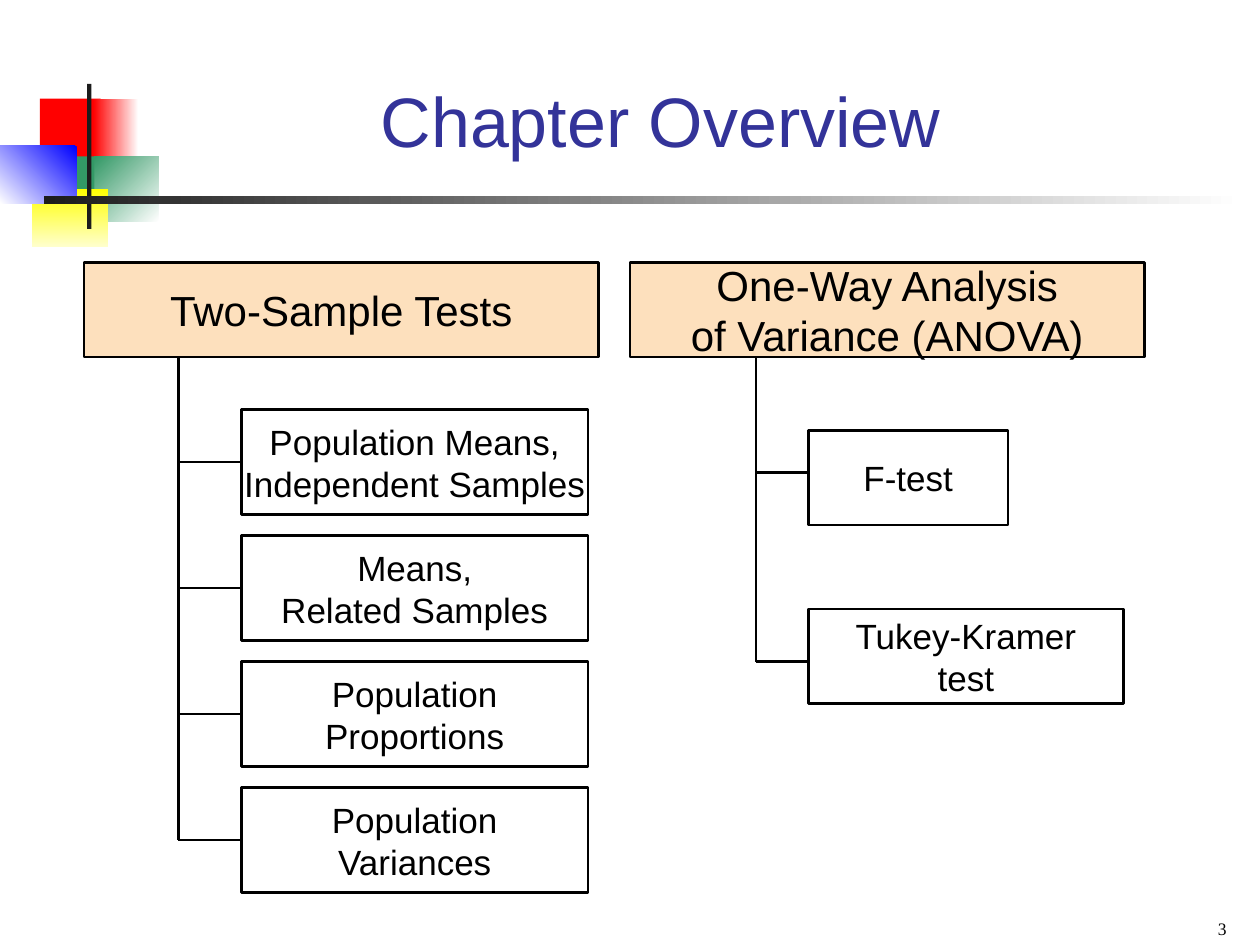
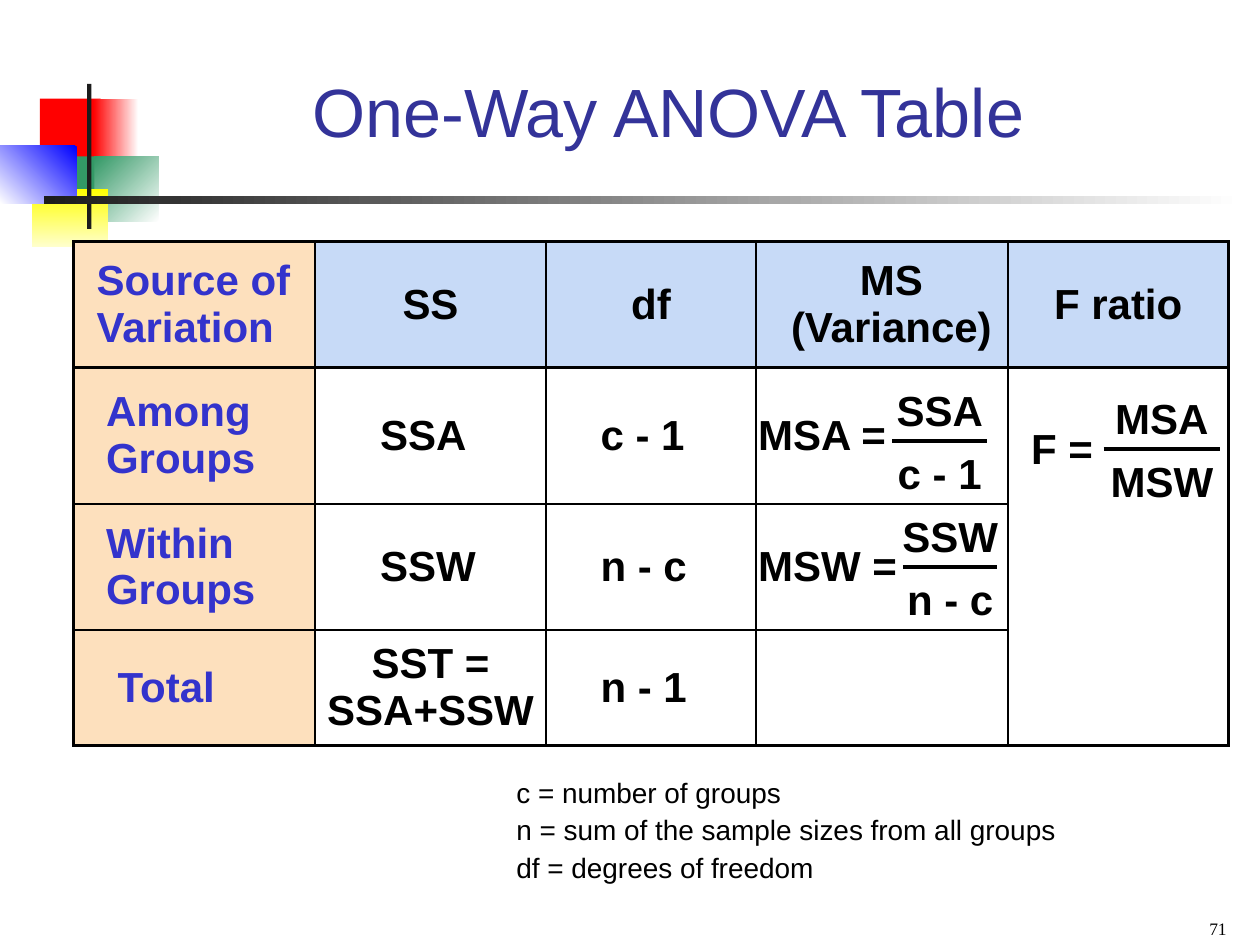
from dataclasses import dataclass

from lxml.etree import SubElement
from pptx import Presentation
from pptx.dml.color import RGBColor
from pptx.enum.shapes import MSO_CONNECTOR, MSO_SHAPE
from pptx.enum.text import MSO_ANCHOR, MSO_AUTO_SIZE, PP_ALIGN
from pptx.oxml import parse_xml
from pptx.oxml.ns import nsdecls, qn
from pptx.util import Emu, Pt

LEFT, MID, RIGHT = PP_ALIGN.LEFT, PP_ALIGN.CENTER, PP_ALIGN.RIGHT
WIDE, HIGH = 1200, 900


@dataclass(frozen=True)
class Theme:
    ink: str = "000000"
    title: str = "333399"
    label: str = "3333CC"
    peach: str = "FDE0BD"
    sky: str = "C7DAF7"
    white: str = "FFFFFF"
    dark: str = "1C1C1C"
    red: str = "FF0000"
    green: str = "339966"
    blue: str = "0000FF"
    yellow: str = "FFFF00"
    cream: str = "FFFFCC"
    sans: str = "Arial"
    serif: str = "Times New Roman"
    head: int = 24
    node: int = 20
    note: int = 16
    page: int = 10
    rule: float = 1.5
    bar: float = 2.25


THEME = Theme()

# left, top, width, height, colours, angle
BLOCKS = [
    (38, 94, 58, 62, [THEME.red], 0),
    (89, 94, 43, 62, [THEME.white, THEME.red], 180),
    (90, 149, 61, 62, [THEME.white, THEME.green], 135),
    (52, 149, 38, 62, [THEME.green], 0),
    (30, 180, 73, 55, [THEME.yellow, THEME.cream], 270),
    (0, 139, 73, 55, [THEME.blue, THEME.white], 225),
    (83, 80, 4, 138, [THEME.dark], 0),
    (42, 187, 1141, 7, [THEME.white, THEME.dark], 180),
]


def px(*sizes):
    return [Emu(size * 7620) for size in sizes]


def rgb(code):
    return RGBColor.from_string(code)


def style(item, **values):
    for name, value in values.items():
        setattr(item, name, value)


def write(frame, text, size, align=LEFT, color=THEME.ink, name=THEME.sans,
          bold=False, **spacing):
    """Put each line of text in a paragraph; spacing skips space before the first."""
    for i, line in enumerate(text.split("\n")):
        para = frame.paragraphs[0] if i == 0 else frame.add_paragraph()
        style(para, alignment=align, **spacing)
        if i == 0:
            para.space_before = Pt(0)
        run = para.add_run()
        run.text = line
        style(run.font, size=Pt(size), name=name, bold=bold)
        run.font.color.rgb = rgb(color)


def label(slide, text, area, size, anchor=MSO_ANCHOR.TOP, inset=(12, 6), **look):
    frame = slide.shapes.add_textbox(*px(*area)).text_frame
    side, edge = px(*inset)
    style(frame, word_wrap=True, vertical_anchor=anchor, margin_left=side,
          margin_right=side, margin_top=edge, margin_bottom=edge)
    write(frame, text, size, **look)


def block(shapes, area, colors=(), turn=0):
    """Add a rectangle with no fill, one colour or a two-colour gradient."""
    shape = shapes.add_shape(MSO_SHAPE.RECTANGLE, *px(*area))
    shape.shadow.inherit = False
    shape.line.fill.background()
    if len(colors) == 2:
        shape.fill.gradient()
        shape.fill.gradient_angle = turn
        for stop, color in zip(shape.fill.gradient_stops, colors):
            stop.color.rgb = rgb(color)
    elif colors:
        shape.fill.solid()
        shape.fill.fore_color.rgb = rgb(colors[0])
    else:
        shape.fill.background()
    return shape


def node(slide, text, area, size=THEME.node, colors=()):
    shape = block(slide.shapes, area, colors)
    shape.line.color.rgb = rgb(THEME.ink)
    shape.line.width = Pt(THEME.rule)
    style(shape.text_frame, word_wrap=False, vertical_anchor=MSO_ANCHOR.MIDDLE)
    write(shape.text_frame, text, size, MID)
    return shape


def line(slide, start, end, width=THEME.rule):
    link = slide.shapes.add_connector(MSO_CONNECTOR.STRAIGHT, *px(*start, *end))
    link.line.color.rgb = rgb(THEME.ink)
    link.line.width = Pt(width)
    SubElement(link.element.spPr, qn("a:effectLst"))
    return link


def branch(slide, x, top, twigs):
    """Draw a trunk down from top and a twig from each (node, y) to it."""
    line(slide, (x, twigs[-1][1]), (x, top))
    for box, y in twigs:
        link = line(slide, (box.left // 7620, y), (x, y))
        if px(y)[0] == box.top + box.height // 2:
            link.begin_connect(box, 1)


def adorn(slide):
    """Draw the corner blocks and rule, then move them to the shared layout."""
    group = slide.shapes.add_group_shape()
    for *area, colors, turn in BLOCKS:
        block(group.shapes, area, colors, turn)
    for i, mark in enumerate(group.element.xpath(".//p:cNvPr"), 100):
        mark.set("id", str(i))
    slide.slide_layout.shapes.element.append(group.element)


def start(deck, title, area, size, page):
    slide = deck.slides.add_slide(deck.slide_layouts[5])
    head = slide.shapes.title
    left, top, width, height = px(*area)
    style(head, left=left, top=top, width=width, height=height)
    style(head.text_frame, word_wrap=True, auto_size=MSO_AUTO_SIZE.NONE,
          vertical_anchor=MSO_ANCHOR.BOTTOM)
    write(head.text_frame, title, size, MID, THEME.title)
    label(slide, page, (900, 858, 280, 42), THEME.page, MSO_ANCHOR.BOTTOM,
          align=RIGHT, name=THEME.serif)
    return slide


def border(cell):
    props = cell._tc.get_or_add_tcPr()
    for i, side in enumerate("LRTB"):
        props.insert(i, parse_xml(
            f'<a:ln{side} {nsdecls("a")} w="{Pt(THEME.rule)}"><a:solidFill>'
            f'<a:srgbClr val="{THEME.ink}"/></a:solidFill></a:ln{side}>'))


def grid(slide, rows, area, widths, heights):
    """Add a bordered table; each cell is (text, left inset), None to centre."""
    table = slide.shapes.add_table(
        len(heights), len(widths), *px(*area)).table
    style(table, first_row=False, horz_banding=False)
    for col, width in zip(table.columns, px(*widths)):
        col.width = width
    for row, height in zip(table.rows, px(*heights)):
        row.height = height
    for r, row in enumerate(rows):
        for c, (text, inset) in enumerate(row):
            cell = table.cell(r, c)
            style(cell, margin_left=px(inset or 0)[0], margin_right=0,
                  margin_top=0, margin_bottom=0,
                  vertical_anchor=MSO_ANCHOR.MIDDLE)
            if c == 0 or r == 0:
                cell.fill.solid()
                cell.fill.fore_color.rgb = rgb(THEME.sky if c else THEME.peach)
            else:
                cell.fill.background()
            border(cell)
            if text:
                write(cell.text_frame, text, THEME.head,
                      MID if inset is None else LEFT,
                      THEME.ink if c else THEME.label, bold=True)
    return table


def ratio(slide, upper, lower, x, y, width):
    """Stack two terms about a bar that starts at x, y."""
    for text, top in ((upper, y - 54), (lower, y + 6)):
        label(slide, text, (x - 10, top, width + 20, 48), THEME.head,
              inset=(0, 0), align=MID, bold=True)
    line(slide, (x, y), (x + width, y), THEME.bar)


def outline(deck):
    slide = start(deck, "Chapter Overview", (168, 40, 922, 120), 40, "3")
    adorn(slide)
    heads = ["Two-Sample Tests", "One-Way Analysis\nof Variance (ANOVA)"]
    for i, text in enumerate(heads):
        node(slide, text, (80 + 520 * i, 250, 490, 90), THEME.head, [THEME.peach])
    tests = ["Population Means,\nIndependent Samples", "Means,\nRelated Samples",
             "Population\nProportions", "Population\nVariances"]
    branch(slide, 170, 340, [
        (node(slide, text, (230, 390 + 120 * i, 330, 100)), 440 + 120 * i)
        for i, text in enumerate(tests)])
    branch(slide, 720, 340, [
        (node(slide, "F-test", (770, 410, 190, 90)), 450),
        (node(slide, "Tukey-Kramer\ntest", (770, 580, 300, 90)), 630)])


def anova(deck):
    slide = start(deck, "One-Way ANOVA Table", (130, 50, 1013, 100), 39, "71")
    blank = ("", None)
    rows = [
        [("Source of Variation", 22), ("SS", None), ("df", None),
         ("MS\n(Variance)", 18), ("F ratio", None)],
        [("Among Groups", 31), ("SSA", 62), ("c - 1", 52), ("MSA =", 2),
         ("F =", 22)],
        [("Within Groups", 31), ("SSW", 62), ("n - c", 52), ("MSW =", 2), blank],
        [("Total", 42), ("SST =\nSSA+SSW", None), ("n - 1", 52), blank, blank],
    ]
    table = grid(slide, rows, (70, 230, 1100, 480),
                 (230, 220, 200, 240, 210), (120, 130, 120, 110))
    for para in table.cell(0, 3).text_frame.paragraphs:
        para.alignment = MID
    quotient = table.cell(1, 4)
    quotient.merge(table.cell(3, 4))
    style(quotient, vertical_anchor=MSO_ANCHOR.TOP, margin_top=px(56)[0])
    ratio(slide, "SSA", "c - 1", 850, 420, 90)
    ratio(slide, "SSW", "n - c", 860, 540, 90)
    ratio(slide, "MSA", "MSW", 1051, 428, 111)
    label(slide, "c = number of groups\nn = sum of the sample sizes from all groups\n"
          "df = degrees of freedom", (480, 740, 670, 108), THEME.note,
          line_spacing=0.75, space_before=Pt(7))


def main():
    deck = Presentation()
    deck.slide_width, deck.slide_height = px(WIDE, HIGH)
    outline(deck)
    anova(deck)
    deck.save("out.pptx")


if __name__ == "__main__":
    main()
